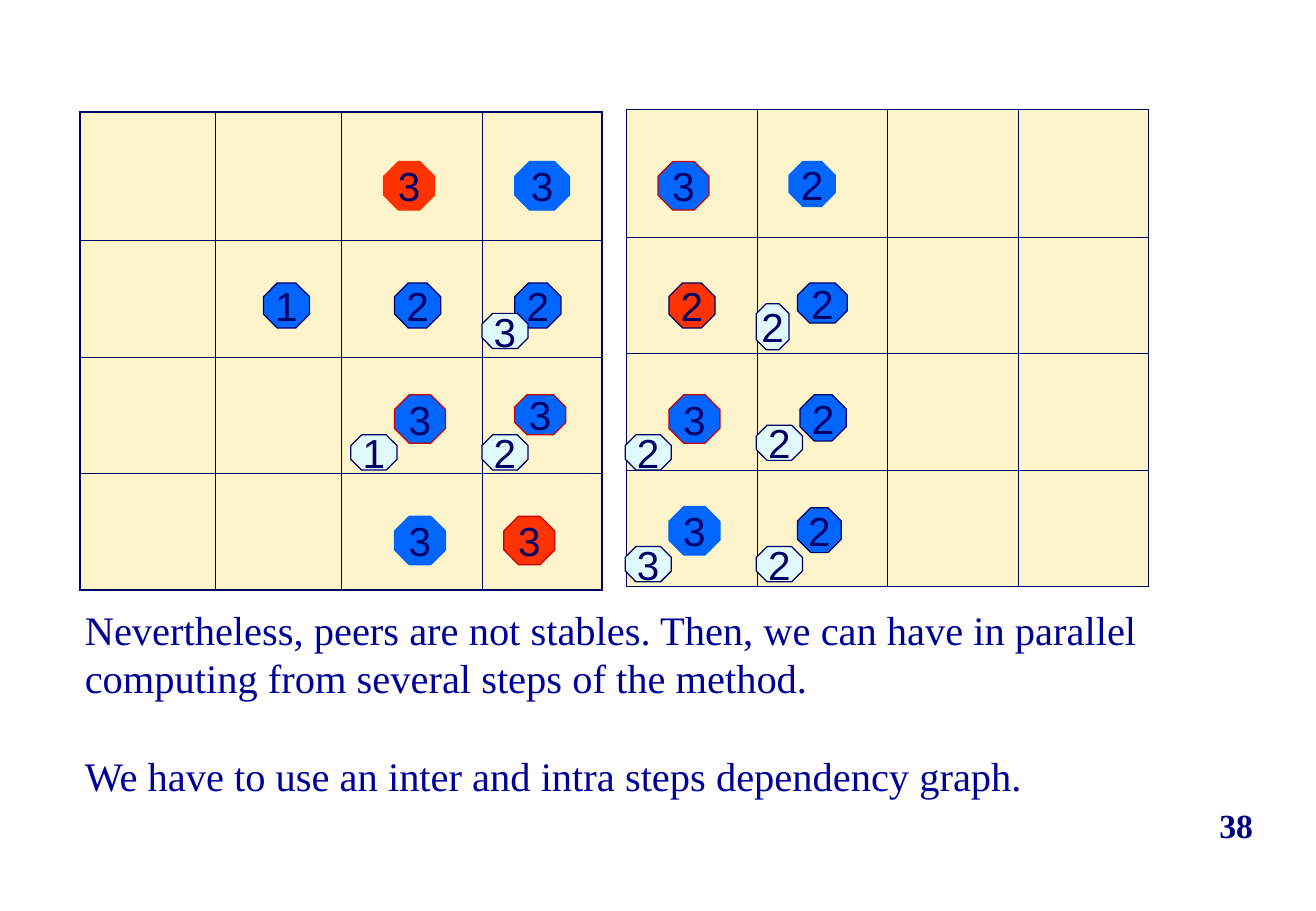
from lxml.etree import SubElement
from pptx import Presentation
from pptx.dml.color import RGBColor
from pptx.enum.shapes import MSO_SHAPE
from pptx.enum.text import MSO_ANCHOR, PP_ALIGN
from pptx.oxml.ns import qn
from pptx.util import Inches, Pt

NAVY, BLUE, RED, DARK_RED = "000066", "0066FF", "FF3300", "CC0000"
CREAM, PALE = "FEF4CB", "E0F9FC"
SMALL, LARGE, FLAT = (0.38, 0.37), (0.42, 0.4), (0.38, 0.29)

# Each peer: step, left and top within its grid, size, fill, outline
LEFT_PEERS = [
    ("1", 1.51, 1.41, SMALL, BLUE, NAVY),
    ("2", 2.59, 1.41, SMALL, BLUE, NAVY),
    ("2", 3.58, 1.41, SMALL, BLUE, NAVY),
    ("3", 2.59, 3.33, LARGE, BLUE, BLUE),
    ("3", 3.49, 3.33, LARGE, RED, DARK_RED),
    ("3", 2.59, 2.33, LARGE, BLUE, DARK_RED),
    ("3", 3.58, 2.33, (0.42, 0.33), BLUE, DARK_RED),
    ("3", 2.5, 0.41, LARGE, RED, RED),
    ("3", 3.58, 0.41, (0.45, 0.4), BLUE, BLUE),
    ("2", 3.31, 2.66, FLAT, PALE, NAVY),
    ("1", 2.23, 2.66, FLAT, PALE, NAVY),
    ("3", 3.31, 1.66, FLAT, PALE, NAVY),
]
RIGHT_PEERS = [
    ("2", 0.35, 1.43, SMALL, RED, NAVY),
    ("2", 1.41, 3.28, (0.36, 0.37), BLUE, NAVY),
    ("2", 1.41, 1.43, (0.41, 0.33), BLUE, NAVY),
    ("2", 1.43, 2.35, (0.38, 0.38), BLUE, NAVY),
    ("3", 0.35, 3.27, LARGE, BLUE, BLUE),
    ("3", 0.26, 0.43, LARGE, BLUE, DARK_RED),
    ("3", 0.35, 2.35, LARGE, BLUE, DARK_RED),
    ("2", 1.34, 0.43, SMALL, BLUE, BLUE),
    ("3", -0.01, 3.6, FLAT, PALE, NAVY),
    ("2", 1.07, 2.6, FLAT, PALE, NAVY),
    ("2", 1.07, 3.6, FLAT, PALE, NAVY),
    ("2", 1.07, 1.6, (0.27, 0.38), PALE, NAVY),
    ("2", -0.01, 2.68, FLAT, PALE, NAVY),
]
STEP_FONT = {"name": "Arial", "size": Pt(24)}
BODY_FONT = {"name": "Times New Roman", "size": Pt(24)}
NUMBER_FONT = {"name": "Times New Roman", "size": Pt(20), "bold": True}


def color(hex_value):
    return RGBColor.from_string(hex_value)


def inches(*lengths):
    return [Inches(length) for length in lengths]


def write(paragraph, text, font_format, hex_value, alignment=PP_ALIGN.LEFT):
    paragraph.text = text
    paragraph.alignment = alignment
    for name, value in font_format.items():
        setattr(paragraph.font, name, value)
    paragraph.font.color.rgb = color(hex_value)


def add_border(cell, side, width):
    line = SubElement(cell._tc.get_or_add_tcPr(), qn(f"a:ln{side}"), w=str(Pt(width)))
    SubElement(SubElement(line, qn("a:solidFill")), qn("a:srgbClr"), val=NAVY)


def add_grid(slide, left, top, widths, heights):
    """Add the empty table, with heavier lines round its outside."""
    row_count, column_count = len(heights), len(widths)
    box = inches(left, top, sum(widths), sum(heights))
    table = slide.shapes.add_table(row_count, column_count, *box).table
    for column, width in zip(table.columns, widths):
        column.width = Inches(width)
    for row, height in zip(table.rows, heights):
        row.height = Inches(height)
    for row in range(row_count):
        for column in range(column_count):
            cell = table.cell(row, column)
            outside = {"L": column == 0, "R": column == column_count - 1,
                       "T": row == 0, "B": row == row_count - 1}
            for side, is_outside in outside.items():
                add_border(cell, side, 1.08 if is_outside else 0.45)
            cell.fill.solid()
            cell.fill.fore_color.rgb = color(CREAM)


def add_peer(slide, step, box, fill, outline):
    shape = slide.shapes.add_shape(MSO_SHAPE.OCTAGON, *inches(*box))
    shape.adjustments[0] = 0.306
    shape.shadow.inherit = False
    shape.fill.solid()
    shape.fill.fore_color.rgb = color(fill)
    shape.line.color.rgb = color(outline)
    shape.line.width = Pt(0.75)
    frame = shape.text_frame
    frame.word_wrap = False
    frame.vertical_anchor = MSO_ANCHOR.MIDDLE
    write(frame.paragraphs[0], step, STEP_FONT, NAVY, PP_ALIGN.CENTER)


def add_peer_grid(slide, left, top, widths, heights, peers):
    add_grid(slide, left, top, widths, heights)
    for step, x, y, size, fill, outline in peers:
        add_peer(slide, step, (left + x, top + y, *size), fill, outline)


def add_explanation(slide, box, texts):
    frame = slide.shapes.add_textbox(*inches(*box)).text_frame
    frame.word_wrap = True
    for index, text in enumerate(texts):
        paragraph = frame.add_paragraph() if index else frame.paragraphs[0]
        write(paragraph, text, BODY_FONT, "000099")
        paragraph.line_spacing = Pt(28.8)
        if index:
            paragraph.space_before = Pt(28.8)


def add_page_number(slide, box, number):
    frame = slide.shapes.add_textbox(*inches(*box)).text_frame
    frame.word_wrap = True
    frame.vertical_anchor = MSO_ANCHOR.MIDDLE
    write(frame.paragraphs[0], number, NUMBER_FONT, "000080", PP_ALIGN.RIGHT)


def main():
    presentation = Presentation()
    presentation.slide_width, presentation.slide_height = inches(10.84, 7.5)
    slide = presentation.slides.add_slide(presentation.slide_layouts[6])
    add_page_number(slide, (8.75, 6.58, 1.67, 0.42), "38")
    add_peer_grid(slide, 0.66, 0.92, [1.11, 1.04, 1.16, 0.99],
                  [1.06] + [0.96] * 3, LEFT_PEERS)
    add_peer_grid(slide, 5.16, 0.9, [1.08, 1.07] * 2,
                  [1.05] + [0.96] * 3, RIGHT_PEERS)
    add_explanation(slide, (0.6, 4.93, 9.51, 1.7), [
        "Nevertheless, peers are not stables. Then, we can have in parallel "
        "computing from several steps of the method.",
        "We have to use an inter and intra steps dependency graph.",
    ])
    presentation.save("out.pptx")


if __name__ == "__main__":
    main()
